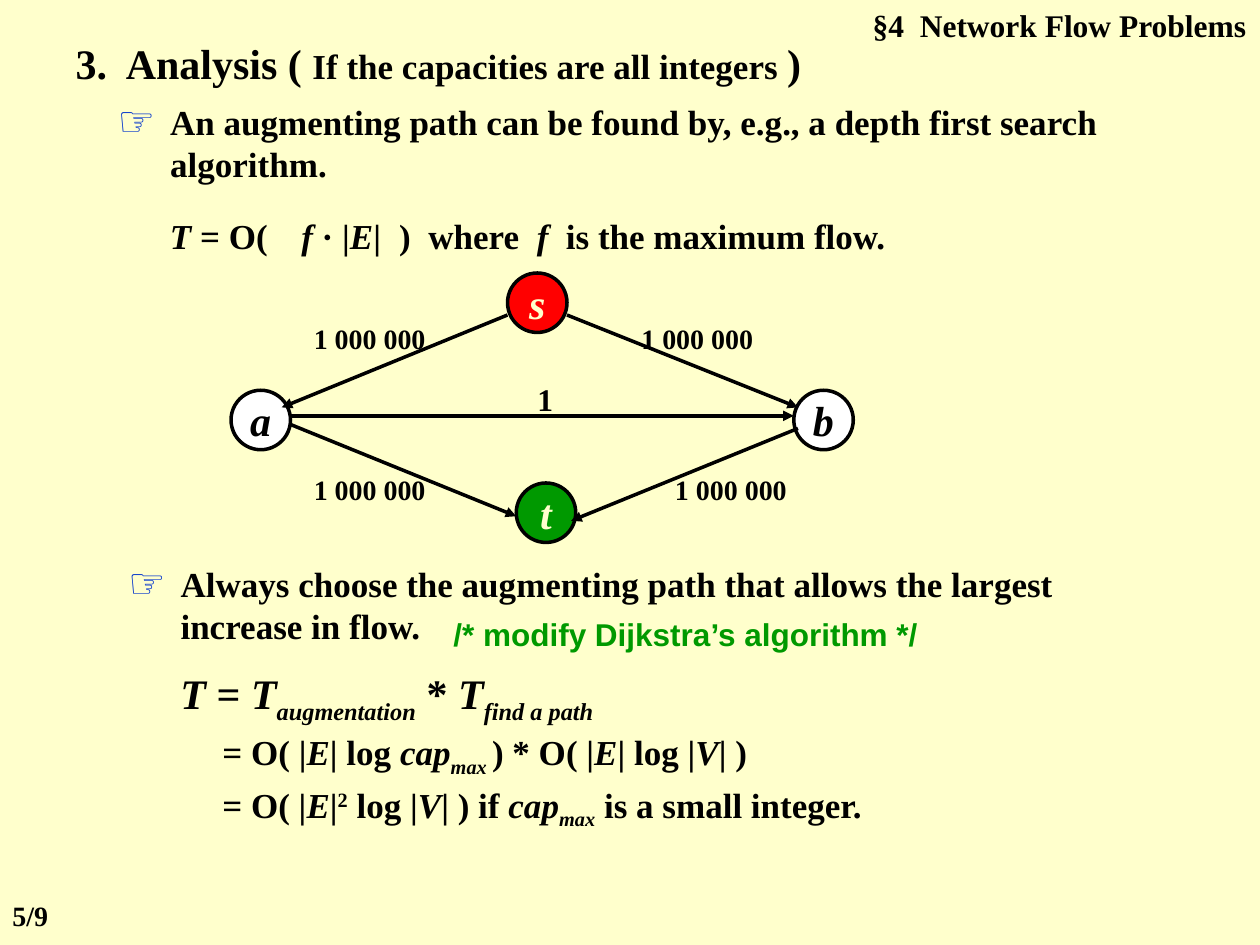
from lxml import etree
from pptx import Presentation
from pptx.dml.color import RGBColor
from pptx.enum.shapes import MSO_CONNECTOR, MSO_SHAPE
from pptx.enum.text import MSO_ANCHOR, MSO_AUTO_SIZE, PP_ALIGN
from pptx.oxml.ns import qn
from pptx.util import Pt

LEFT, CENTER, RIGHT = PP_ALIGN.LEFT, PP_ALIGN.CENTER, PP_ALIGN.RIGHT
TOP, MIDDLE = MSO_ANCHOR.TOP, MSO_ANCHOR.MIDDLE
NO_AUTOFIT = MSO_AUTO_SIZE.NONE
OVAL, STRAIGHT = MSO_SHAPE.OVAL, MSO_CONNECTOR.STRAIGHT
TWO_CONTENT_LAYOUT = 3

SERIF, SANS = "Times New Roman", "Arial"
COLORS = {
    "cream": "FFFFCC",
    "black": "000000",
    "white": "FFFFFF",
    "blue": "0033CC",
    "red": "FF0000",
    "green": "009900",
}
BASELINES = {"sub": "-25000", "sup": "30000"}
NODE_SIZE = 34


def color(name):
    return RGBColor.from_string(COLORS[name])


class SlideBuilder:
    """Holds the current slide and draws its elements in one style."""

    def __init__(self, slide):
        self.slide = slide
        slide.background.fill.solid()
        slide.background.fill.fore_color.rgb = color("cream")

    def set_text(self, shape, runs, size, align=LEFT, ink="black", font=SERIF,
                 anchor=TOP, wrap=True, hanging_mark=None, tab=None):
        """Fill a shape with one bold paragraph; a run is (text, *styles)."""
        frame = shape.text_frame
        frame.word_wrap = wrap
        frame.auto_size = NO_AUTOFIT
        frame.vertical_anchor = anchor
        paragraph = frame.paragraphs[0]
        paragraph.alignment = align
        paragraph.line_spacing = 1.0
        paragraph.space_before = Pt(0)
        properties = paragraph._p.get_or_add_pPr()
        if hanging_mark:
            self.add_bullet(properties, hanging_mark)
        if tab:
            tabs = etree.SubElement(properties, qn("a:tabLst"))
            etree.SubElement(tabs, qn("a:tab"), pos=str(Pt(tab)), algn="l")
        paragraph.font.name = font
        paragraph.font.size = Pt(size)
        paragraph.font.bold = True
        paragraph.font.color.rgb = color(ink)
        for text, *styles in [(runs,)] if isinstance(runs, str) else runs:
            run = paragraph.add_run()
            run.text = text
            for style in styles:
                if style == "italic":
                    run.font.italic = True
                elif style in BASELINES:
                    run._r.get_or_add_rPr().set("baseline", BASELINES[style])
                else:
                    run.font.size = Pt(style)

    def add_bullet(self, properties, mark):
        properties.set("marL", str(Pt(30)))
        properties.set("indent", str(Pt(-30)))
        bullet_color = etree.SubElement(properties, qn("a:buClr"))
        etree.SubElement(bullet_color, qn("a:srgbClr"), val=COLORS["blue"])
        etree.SubElement(properties, qn("a:buSzPct"), val="120000")
        etree.SubElement(properties, qn("a:buFont"), typeface=SANS)
        etree.SubElement(properties, qn("a:buChar"), char=mark)

    def placeholder(self, index, left, top, width, height, runs, size, **style):
        shape = self.slide.placeholders[index]
        shape.left, shape.top = Pt(left), Pt(top)
        shape.width, shape.height = Pt(width), Pt(height)
        self.set_text(shape, runs, size, **style)

    def text(self, left, top, width, height, runs, size, **style):
        box = self.slide.shapes.add_textbox(Pt(left), Pt(top), Pt(width), Pt(height))
        self.set_text(box, runs, size, **style)

    def node(self, left, top, name, fill, ink):
        circle = self.slide.shapes.add_shape(
            OVAL, Pt(left), Pt(top), Pt(NODE_SIZE), Pt(NODE_SIZE))
        circle.shadow.inherit = False
        circle.fill.solid()
        circle.fill.fore_color.rgb = color(fill)
        circle.line.color.rgb = color("black")
        circle.line.width = Pt(2)
        self.set_text(circle, [(name, "italic")], 24, align=CENTER, ink=ink,
                      anchor=MIDDLE, wrap=False)

    def arrow(self, *ends):
        """Draw an arrow along (start x, start y, end x, end y)."""
        connector = self.slide.shapes.add_connector(STRAIGHT, *map(Pt, ends))
        connector.line.color.rgb = color("black")
        connector.line.width = Pt(2)
        properties = connector._element.spPr
        etree.SubElement(properties.get_or_add_ln(), qn("a:tailEnd"), type="triangle")
        etree.SubElement(properties, qn("a:effectLst"))


def build_flow_network(builder):
    for node in (
        (290, 156, "s", "red", "cream"),
        (295, 276, "t", "green", "cream"),
        (132, 223, "a", "white", "black"),
        (453.6, 223, "b", "white", "black"),
    ):
        builder.node(*node)
    for ends in (
        (290, 180, 161, 232.8),
        (324, 180, 456, 232.8),
        (165.6, 242.4, 295, 295),
        (456, 244.8, 326.4, 297.6),
        (165.6, 237.6, 453.6, 237.6),
    ):
        builder.arrow(*ends)
    for left, top in ((170.4, 180), (357.6, 180), (170.4, 266.4), (376.8, 266.4)):
        builder.text(left, top, 81.6, 26.4, "1 000 000", 16, align=CENTER)
    builder.text(290, 213.6, 43.2, 28.8, "1", 18, align=CENTER)


def main():
    presentation = Presentation()
    presentation.slide_width, presentation.slide_height = Pt(720), Pt(540)
    layout = presentation.slide_layouts[TWO_CONTENT_LAYOUT]
    builder = SlideBuilder(presentation.slides.add_slide(layout))

    builder.text(473.8, 0, 245.6, 28.8, "§4  Network Flow Problems", 18, align=RIGHT)
    builder.placeholder(0, 36, 18, 450, 36, [
        ("3.  Analysis ( ",), ("If the capacities are all integers ", 20), (")",)], 24)
    builder.placeholder(
        1, 60, 54, 588, 60,
        "An augmenting path can be found by, e.g., a depth first search algorithm.",
        20, hanging_mark="☞")
    builder.text(90, 118.8, 444, 31.7, [
        ("T", "italic"), (" = O(\t)  where  ",), ("f", "italic"),
        ("  is the maximum flow.",)], 20, tab=131)
    builder.text(162, 118.8, 66, 31.7, [
        ("f", "italic"), (" · |",), ("E", "italic"), ("|",)], 20, align=CENTER)

    build_flow_network(builder)

    builder.placeholder(
        2, 66, 318, 588, 60,
        "Always choose the augmenting path that allows the largest increase in flow.",
        20, hanging_mark="☞")
    builder.text(252, 348, 300, 28.8, "/* modify Dijkstra’s algorithm */", 18,
                 ink="green", font=SANS)
    builder.text(96, 378, 306, 40, [
        ("T", "italic"), (" = ",), ("T", "italic"), ("augmentation", "italic", "sub"),
        (" * ",), ("T", "italic"), ("find a path", "italic", "sub")], 24)
    builder.text(120, 414, 384, 34.5, [
        ("= O( |",), ("E", "italic"), ("| log ",), ("cap", "italic"),
        ("max ", "italic", "sub"), (") * O( |",), ("E", "italic"), ("| log |",),
        ("V", "italic"), ("| )",)], 20)
    builder.text(120, 444, 474, 34.5, [
        ("= O( |",), ("E", "italic"), ("|",), ("2", "sup"), (" log |",),
        ("V", "italic"), ("| ) if ",), ("cap", "italic"), ("max", "italic", "sub"),
        (" is a small integer.",)], 20)
    builder.text(0, 510, 60, 26.4, "5/9", 16)
    presentation.save("out.pptx")


if __name__ == "__main__":
    main()
